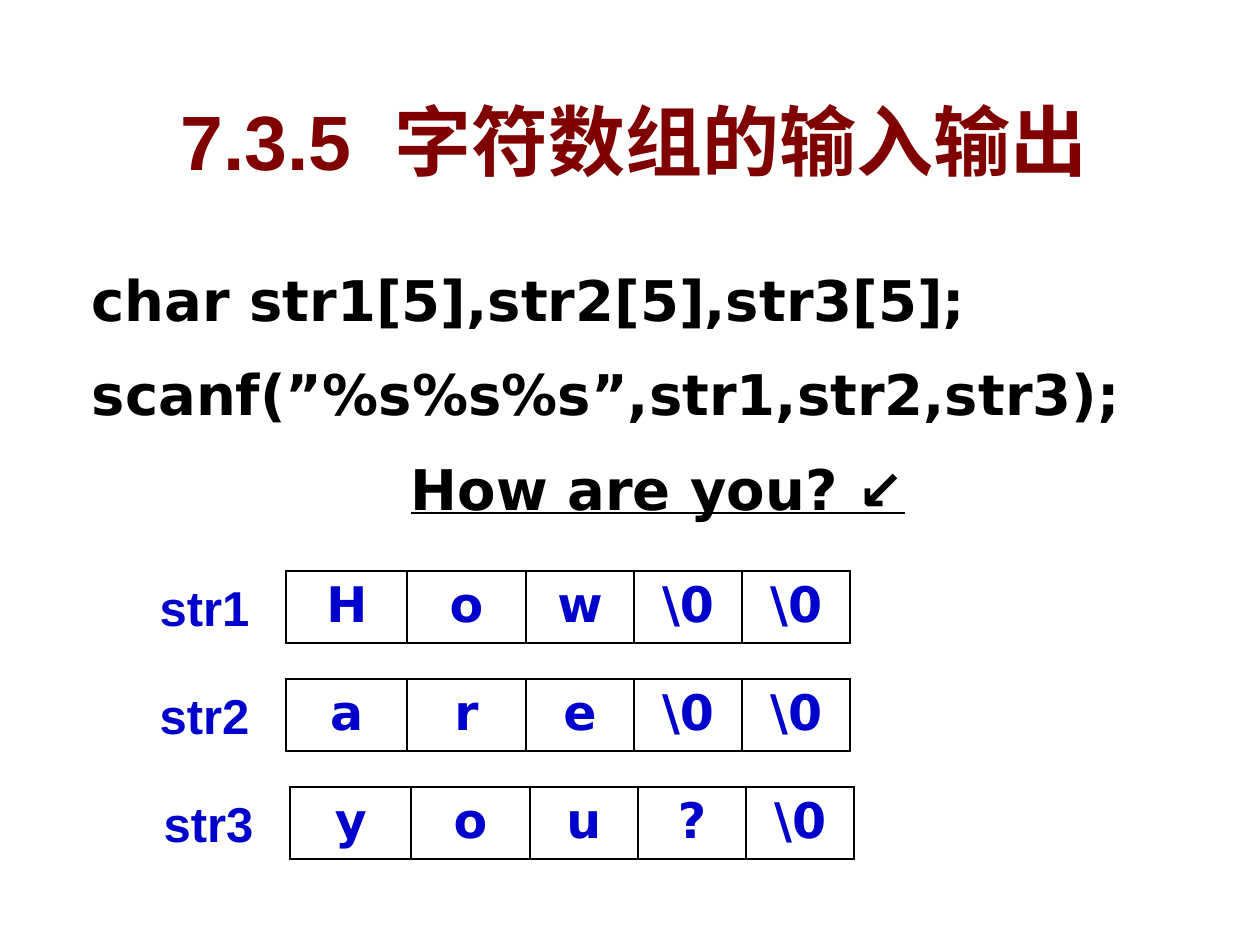
from lxml import etree
from pptx import Presentation
from pptx.dml.color import RGBColor
from pptx.enum.text import MSO_ANCHOR, PP_ALIGN
from pptx.oxml import parse_xml
from pptx.oxml.ns import nsdecls, qn
from pptx.util import Cm, Pt

MAROON = RGBColor(0x80, 0x00, 0x00)
BLUE = RGBColor(0x00, 0x00, 0xCC)
BLACK = RGBColor(0x00, 0x00, 0x00)
WHITE = RGBColor(0xFF, 0xFF, 0xFF)


def add_text_box(page, left, top, width, height):
    box = page.shapes.add_textbox(Cm(left), Cm(top), Cm(width), Cm(height))
    box.text_frame.word_wrap = True
    return box


def format_runs(paragraph, font_name, size, color):
    for span in paragraph.runs:
        span.font.name = font_name
        span.font.size = Pt(size)
        span.font.bold = True
        span.font.color.rgb = color


deck = Presentation()
deck.slide_width = Cm(25.4)
deck.slide_height = Cm(19.05)
page = deck.slides.add_slide(deck.slide_layouts[6])

# Code lines and the typed input
code_box = add_text_box(page, 1.6, 4.95, 23.32, 7.75)
code_box.text_frame.text = (
    "char str1[5],str2[5],str3[5];\n"
    "scanf(”%s%s%s”,str1,str2,str3);\n"
    "How are you? ↙"
)
for index, paragraph in enumerate(code_box.text_frame.paragraphs):
    properties = paragraph._p.get_or_add_pPr()
    properties.set("marL", str(Cm(0.97)))
    properties.set("indent", str(Cm(-0.97)))
    paragraph.line_spacing = 1.2
    if index > 0:
        paragraph.space_before = Pt(8)
    format_runs(paragraph, "DejaVu Sans", 32, BLACK)
input_line = code_box.text_frame.paragraphs[-1]
input_line.alignment = PP_ALIGN.CENTER
input_line.runs[0].font.underline = True

# Title with a soft text shadow and a wider gap after the number
title_box = add_text_box(page, 0.79, 1.75, 24, 2.13)
title_box.text_frame.vertical_anchor = MSO_ANCHOR.MIDDLE
title = title_box.text_frame.paragraphs[0]
title.alignment = PP_ALIGN.CENTER
for part in ("7.3.5", " ", "字符数组的输入输出"):
    title.add_run().text = part
format_runs(title, "Arial", 44, MAROON)
title.runs[1]._r.get_or_add_rPr().set("spc", "1200")
for span in title.runs:
    shadow = parse_xml(
        f'<a:effectLst {nsdecls("a")}><a:outerShdw dist="38100" dir="2700000">'
        '<a:srgbClr val="C0C0C0"/></a:outerShdw></a:effectLst>'
    )
    span.font._element.find(qn("a:solidFill")).addnext(shadow)

# One labelled row of cells per string
COLUMN_WIDTHS = (2.44, 2.39, 2.18, 2.18, 2.18)
ROW_HEIGHT = 1.45
FIRST_TOP, ROW_PITCH = 11.51, 2.18
LABEL_GAP = 2.8
strings = (
    ("str1", 5.77, ("H", "o", "w", "\\0", "\\0")),
    ("str2", 5.77, ("a", "r", "e", "\\0", "\\0")),
    ("str3", 5.85, ("y", "o", "u", "?", "\\0")),
)
for index, (name, left, characters) in enumerate(strings):
    top = FIRST_TOP + index * ROW_PITCH
    frame = page.shapes.add_table(
        1, len(characters), Cm(left), Cm(top), Cm(sum(COLUMN_WIDTHS)), Cm(ROW_HEIGHT)
    )
    table = frame.table
    table.first_row = False
    table.horz_banding = False
    for column, width, character in zip(table.columns, COLUMN_WIDTHS, characters):
        column.width = Cm(width)
    for cell, character in zip(table.iter_cells(), characters):
        cell.text_frame.text = character
        paragraph = cell.text_frame.paragraphs[0]
        paragraph.alignment = PP_ALIGN.CENTER
        format_runs(paragraph, "DejaVu Sans", 28, BLUE)
        cell_properties = cell._tc.get_or_add_tcPr()
        for side in ("a:lnL", "a:lnR", "a:lnT", "a:lnB"):
            border = etree.SubElement(cell_properties, qn(side), w=str(Pt(1.47)))
            line_fill = etree.SubElement(border, qn("a:solidFill"))
            etree.SubElement(line_fill, qn("a:srgbClr"), val=str(BLACK))
        cell.fill.solid()
        cell.fill.fore_color.rgb = WHITE

    label_box = add_text_box(page, left - LABEL_GAP, top, 2.59, ROW_HEIGHT)
    label_box.text_frame.text = name
    format_runs(label_box.text_frame.paragraphs[0], "Arial", 28, BLUE)

deck.save("out.pptx")
